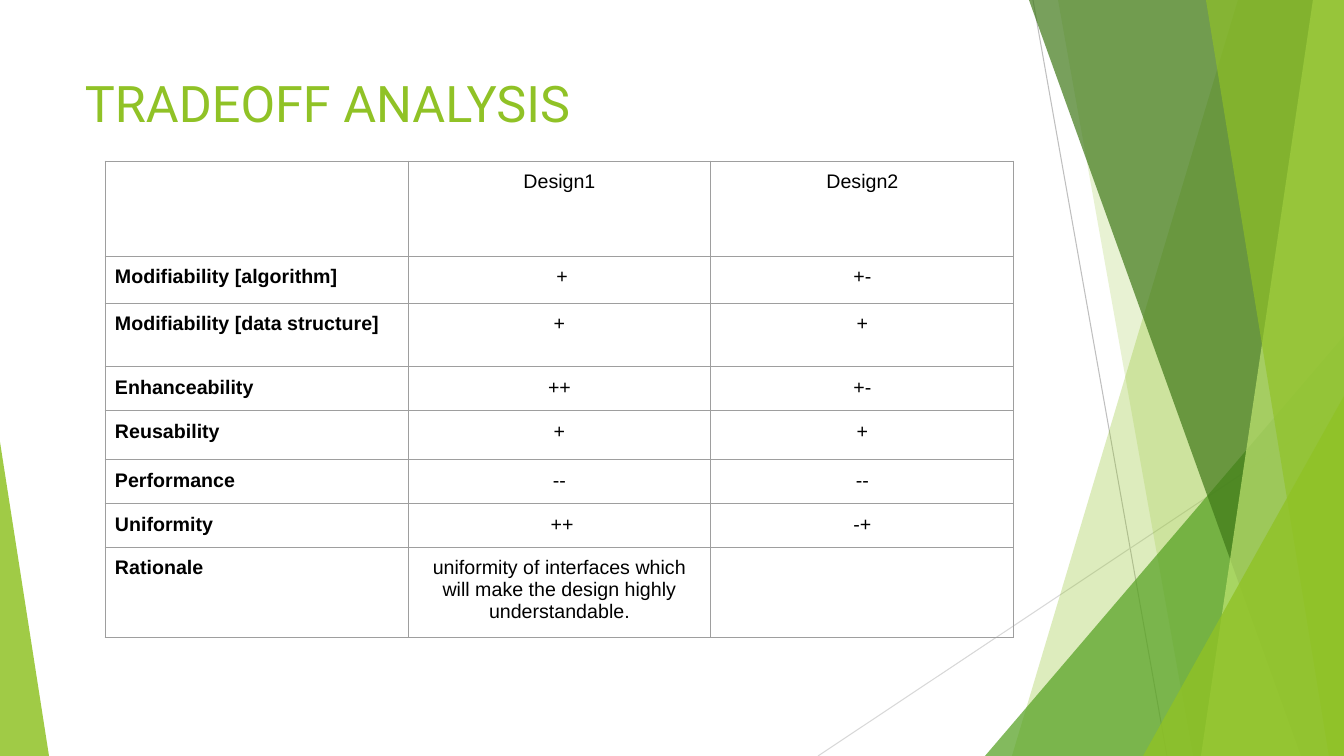
from lxml import etree
from pptx import Presentation
from pptx.dml import color
from pptx.enum import shapes, text
from pptx.oxml import ns
from pptx import util as u

PX = 9072
WIDTH, HEIGHT = 1344, 756


def paint(fill, hex_color, opacity=100):
    fill.solid()
    fill.fore_color.rgb = color.RGBColor.from_string(hex_color)
    if opacity < 100:
        srgb = fill._xPr.find(".//" + ns.qn("a:srgbClr"))
        etree.SubElement(srgb, ns.qn("a:alpha"), val=str(opacity * 1000))


def write(frame, words, size, font, ink="000000", bold=False, align=text.PP_ALIGN.LEFT):
    paragraph = frame.paragraphs[0]
    paragraph.alignment = align
    run = paragraph.add_run()
    run.text = words
    run.font.size = u.Pt(size)
    run.font.name = font
    run.font.bold = bold
    paint(run.font.fill, ink)


deck = Presentation()
deck.slide_width, deck.slide_height = WIDTH * PX, HEIGHT * PX
slide = deck.slides.add_slide(deck.slide_layouts[6])

rays = [
    (1033, 0, 1167, 756, "BFBFBF"),
    (1344, 406, 818, 756, "D8D8D8"),
]
for x1, y1, x2, y2, gray in rays:
    ray = slide.shapes.add_connector(
        shapes.MSO_CONNECTOR.STRAIGHT, x1 * PX, y1 * PX, x2 * PX, y2 * PX)
    paint(ray.line.fill, gray)
    ray.line.width = u.Pt(0.75)
    etree.SubElement(ray._element.spPr, ns.qn("a:effectLst"))

facets = [
    ("band", (1238, 1012), "90C226", 30),
    ("band", (1058, 1193), "90C226", 20),
    ("peak", (985, 336, 359, 1), "54A021", 72),
    ("band", (1029, 1301), "3F7818", 70),
    ("band", (1313, 1201), "BFE471", 70),
    ("band", (1206, 1329), "90C226", 65),
    ("peak", (1143, 396, 201, 1), "90C226", 80),
    ("peak", (0, 442, 49, 0), "90C226", 85),
]
for kind, place, green, opacity in facets:
    if kind == "band":
        top_x, bottom_x = place
        outline = slide.shapes.build_freeform(top_x, 0, scale=PX)
        outline.add_line_segments([(WIDTH, 0), (WIDTH, HEIGHT), (bottom_x, HEIGHT)])
        facet = outline.convert_to_shape()
    else:
        left, top, width, apex = place
        facet = slide.shapes.add_shape(
            shapes.MSO_SHAPE.ISOSCELES_TRIANGLE,
            left * PX, top * PX, width * PX, (HEIGHT - top) * PX)
        facet.adjustments[0] = apex
    paint(facet.fill, green, opacity)
    facet.line.fill.background()
    facet.shadow.inherit = False

title = slide.shapes.add_textbox(75 * PX, 67 * PX, 947 * PX, 83 * PX).text_frame
title.word_wrap = True
write(title, "TRADEOFF ANALYSIS", size=36, font="Roboto", ink="90C226")

ratings = [
    (95, "", "Design1", "Design2"),
    (47, "Modifiability [algorithm]", " +", "+-"),
    (64, "Modifiability [data structure]", "+", "+"),
    (44, "Enhanceability", "++", "+-"),
    (49, "Reusability", "+", "+"),
    (42, "Performance", "--", "--"),
    (43, "Uniformity", " ++", "-+"),
    (86, "Rationale",
     "uniformity of interfaces which will make the design highly understandable.", ""),
]
table_height = sum(row[0] for row in ratings)
tradeoffs = slide.shapes.add_table(
    len(ratings), 3, 105 * PX, 161 * PX, 910 * PX, table_height * PX).table
tradeoffs.first_row = tradeoffs.horz_banding = False
for column in tradeoffs.columns:
    column.width = 303 * PX

for r, (height, *entries) in enumerate(ratings):
    tradeoffs.rows[r].height = height * PX
    for c, entry in enumerate(entries):
        cell = tradeoffs.cell(r, c)
        cell.margin_left = cell.margin_right = 10 * PX
        cell.margin_top = cell.margin_bottom = 10 * PX
        properties = cell._tc.get_or_add_tcPr()
        for side in ("lnL", "lnR", "lnT", "lnB"):
            border = etree.SubElement(properties, ns.qn("a:" + side), w=str(u.Pt(0.75)))
            solid = etree.SubElement(border, ns.qn("a:solidFill"))
            etree.SubElement(solid, ns.qn("a:srgbClr"), val="9E9E9E")
        cell.fill.background()
        if entry:
            write(cell.text_frame, entry, size=14, font="Arial", bold=c == 0,
                  align=text.PP_ALIGN.CENTER if c else text.PP_ALIGN.LEFT)

deck.save("out.pptx")
